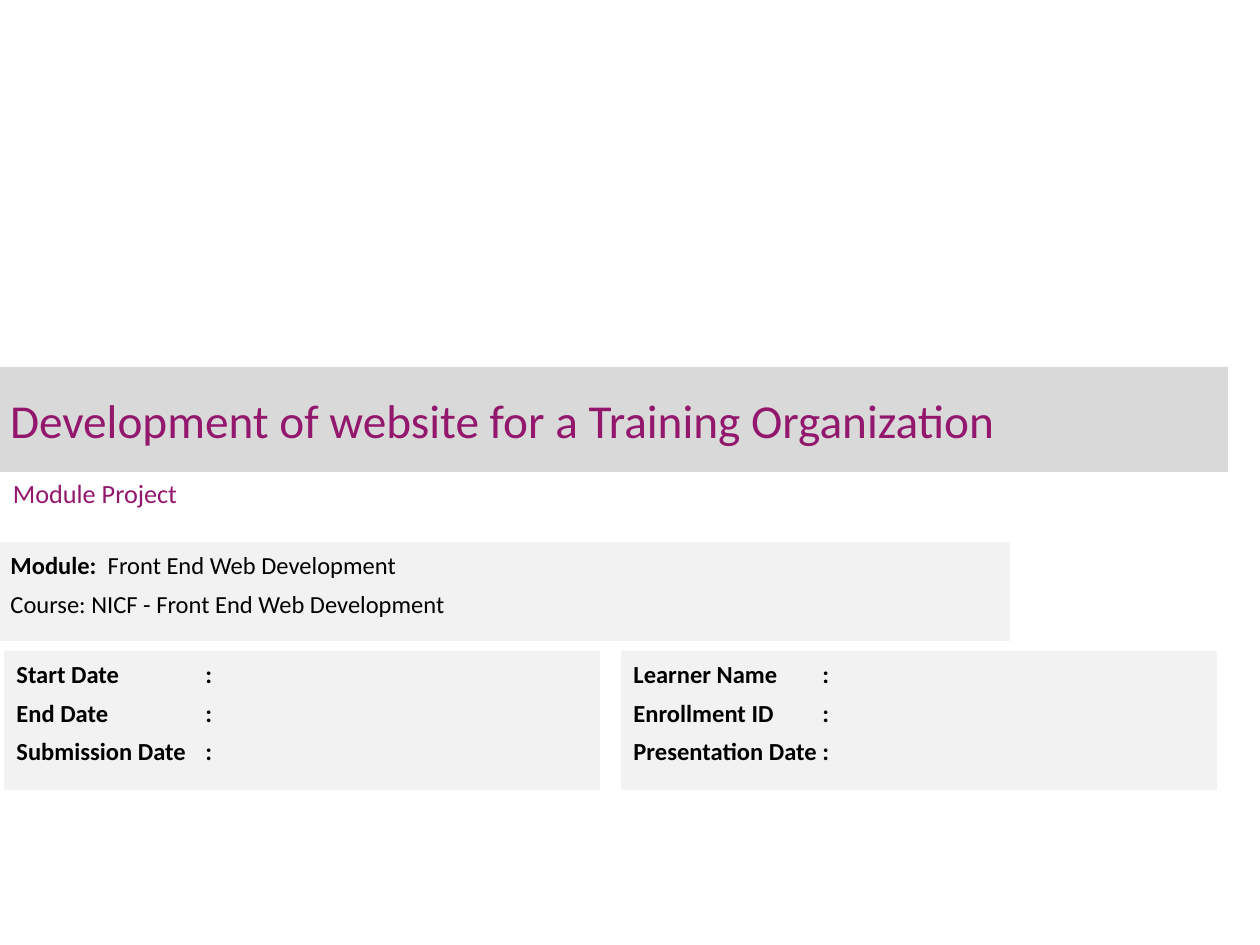
from dataclasses import dataclass

from lxml.etree import SubElement
from pptx import Presentation
from pptx.dml.color import RGBColor
from pptx.enum.shapes import MSO_SHAPE
from pptx.enum.text import MSO_ANCHOR, PP_ALIGN
from pptx.oxml.ns import qn
from pptx.util import Pt

EMU_PER_PX = 914400 / 126


def px(n):
    return round(n * EMU_PER_PX)


@dataclass(frozen=True)
class Theme:
    font: str = "Calibri"
    accent: str = "93176C"
    ink: str = "000000"
    band: str = "D9D9D9"
    panel: str = "F2F2F2"
    title_size: int = 27
    subtitle_size: int = 15
    body_size: int = 14


class CoverSlide:
    def __init__(self, slide, theme):
        self.slide = slide
        self.theme = theme

    def rect(self, box, color):
        sp = self.slide.shapes.add_shape(MSO_SHAPE.RECTANGLE, *map(px, box))
        sp.shadow.inherit = False
        sp.fill.solid()
        sp.fill.fore_color.rgb = RGBColor.from_string(color)
        sp.line.fill.background()
        return sp

    def style_run(self, r, size, color, bold=False):
        r.font.name = self.theme.font
        r.font.size = Pt(size)
        r.font.bold = bold
        r.font.color.rgb = RGBColor.from_string(color)

    def heading(self, sp, text, size, margins):
        """Fill a shape with one accent line, centred vertically."""
        tf = sp.text_frame
        tf.word_wrap = True
        tf.vertical_anchor = MSO_ANCHOR.MIDDLE
        tf.margin_left = tf.margin_right = px(margins[0])
        tf.margin_top = tf.margin_bottom = px(margins[1])
        tf.text = text
        p = tf.paragraphs[0]
        p.alignment = PP_ALIGN.LEFT
        self.style_run(p.runs[0], size, self.theme.accent)

    def title(self, box, text):
        self.heading(self.rect(box, self.theme.band), text, self.theme.title_size, (10, 5))

    def subtitle(self, box, text):
        sp = self.slide.shapes.add_textbox(*map(px, box))
        self.heading(sp, text, self.theme.subtitle_size, (13, 6))

    def panel(self, box, lines, tab=None):
        """Draw a panel; each line is a list of (text, bold) runs."""
        tf = self.rect(box, self.theme.panel).text_frame
        tf.word_wrap = True
        tf.vertical_anchor = MSO_ANCHOR.TOP
        for i, line in enumerate(lines):
            p = tf.add_paragraph() if i else tf.paragraphs[0]
            p.alignment = PP_ALIGN.LEFT
            p.line_spacing = Pt(18)
            p.space_before = p.space_after = Pt(2)
            if tab:
                tabs = SubElement(p._p.get_or_add_pPr(), qn("a:tabLst"))
                SubElement(tabs, qn("a:tab"), pos=str(px(tab)), algn="l")
            for text, bold in line:
                r = p.add_run()
                r.text = text
                self.style_run(r, self.theme.body_size, self.theme.ink, bold)

    def form(self, box, labels):
        """Draw a panel of labels with their colons lined up."""
        self.panel(box, [[(f"{label}\t:", True)] for label in labels], tab=189)


def main():
    prs = Presentation()
    prs.slide_width, prs.slide_height = px(1260), px(945)
    s = CoverSlide(prs.slides.add_slide(prs.slide_layouts[6]), Theme())

    s.title((0, 367, 1228, 105), "Development of website for a Training Organization")
    s.subtitle((0, 454, 809, 78), "Module Project")
    s.panel((-2, 542, 1012, 99), [
        [("Module: ", True), (" Front End Web Development", False)],
        [("Course: NICF - Front End Web Development", False)],
    ])
    forms = [
        ("Start Date", "End Date", "Submission Date"),
        ("Learner Name", "Enrollment ID", "Presentation Date"),
    ]
    for i, labels in enumerate(forms):
        s.form((4 + 617 * i, 651, 596, 139), labels)

    prs.save("out.pptx")


if __name__ == "__main__":
    main()
